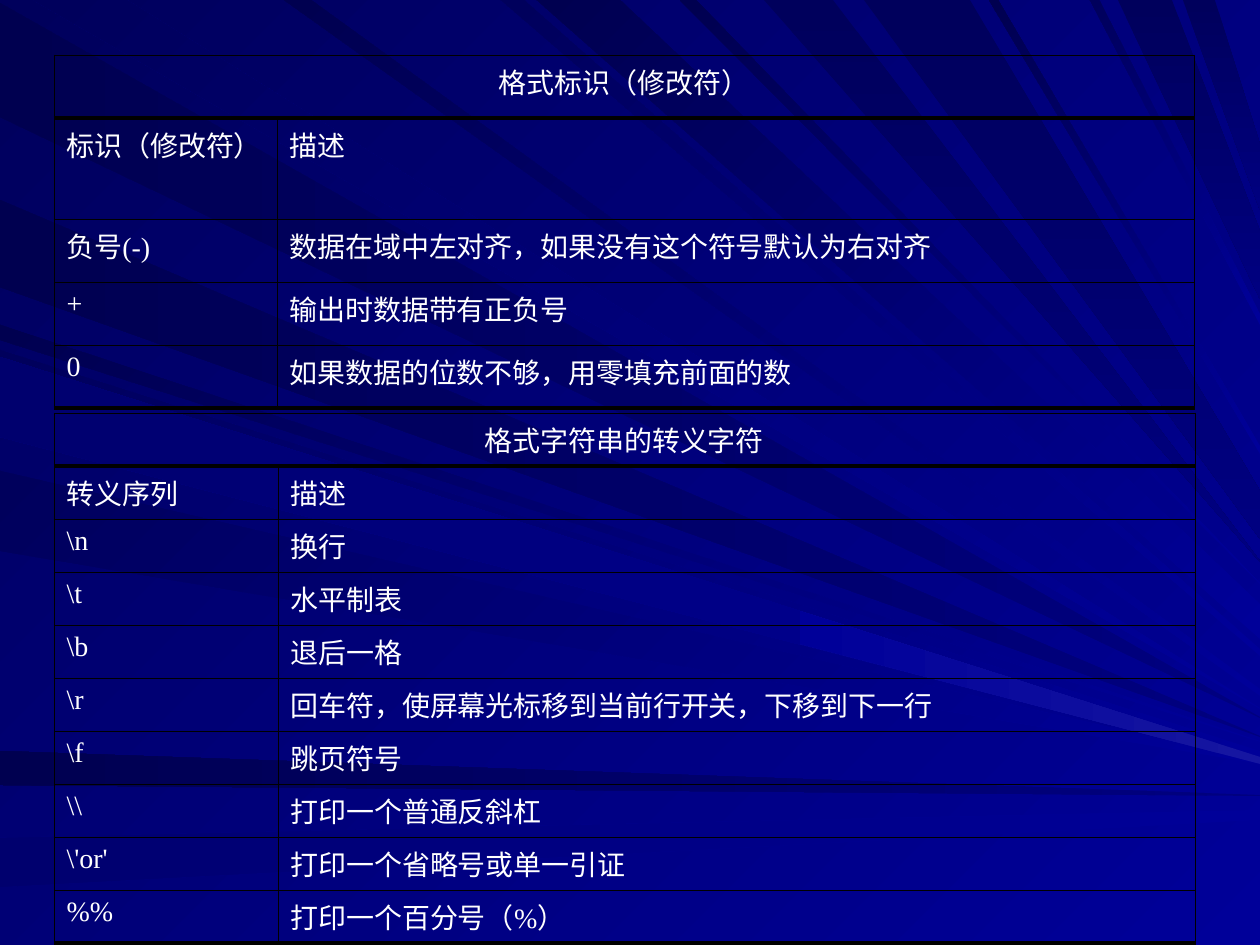
from lxml import etree
from pptx import Presentation
from pptx import util as u
from pptx.dml.color import RGBColor
from pptx.enum import text
from pptx.oxml.ns import qn

PX = 7257
WIDE, HIGH = 1260, 945
FONT = "Times New Roman"
COL = {
    "blue": "000099", "navy": "000080", "deep": "00006E", "dim": "00005C",
    "dark": "000050", "lit": "1616A1", "white": "FFFFFF", "black": "000000",
}
FADES = {
    "shade": ("navy", "dark", 180),
    "soft": ("blue", "deep", 180),
    "slant": ("blue", "dim", 225),
    "sharp": ("blue", "dark", 225),
    "drop": ("dim", "navy", 90),
    "glow": ("lit", "blue", 180),
}

RAYS = [
    ("shade", "left", 3, 117, 717, 718),
    ("slant", "top", 33, 127, 708, 709),
    ("shade", "left", 751, 785, 795, 796),
    ("soft", "left", 838, 887, 810, 820),
    ("sharp", "left", 325, 340, 741, 742),
    ("shade", "left", 200, 287, 736, 737),
    ("slant", "top", 501, 524, 649, 656),
    ("sharp", "top", 537, 620, 604, 639),
    ("sharp", "top", 680, 696, 583, 584),
    ("drop", "top", 764, 833, 561, 562),
    ("drop", "top", 1118, 1172, 231, 299),
    ("drop", "top", 1183, 1215, 144, 210),
    ("slant", "left", 350, 431, 751, 759),
    ("slant", "left", 471, 551, 762, 764),
    ("sharp", "top", 284, 311, 689, 696),
    ("drop", "top", 864, 970, 491, 539),
    ("sharp", "top", 989, 998, 446, 454),
    ("slant", "top", 1090, 1099, 314, 325),
    ("soft", "left", 357, 437, 757, 764),
    ("glow", "mid", 611, 644, 757, 764),
]

FLAGS = [
    ("格式标识（修改符）", ""),
    ("标识（修改符）", "描述"),
    ("负号(-)", "数据在域中左对齐，如果没有这个符号默认为右对齐"),
    ("+", "输出时数据带有正负号"),
    ("0", "如果数据的位数不够，用零填充前面的数"),
]
ESCAPES = [
    ("格式字符串的转义字符", ""),
    ("转义序列", "描述"),
    ("\\n", "换行"),
    ("\\t", "水平制表"),
    ("\\b", "退后一格"),
    ("\\r", "回车符，使屏幕光标移到当前行开关，下移到下一行"),
    ("\\f", "跳页符号"),
    ("\\\\", "打印一个普通反斜杠"),
    ("\\'or'", "打印一个省略号或单一引证"),
    ("%%", "打印一个百分号（%）"),
]
TABLES = [
    (FLAGS, 55, (223, 917), 63, 101),
    (ESCAPES, 413, (224, 917), 47, 47),
]
LEFT, HANG = 54, 48
THIN, MID, THICK = 0.34, 0.45, 2.5


def rgb(key):
    return RGBColor.from_string(COL[key])


def paint(fill, start, end, angle):
    fill.gradient()
    fill.gradient_angle = 360 - angle
    for stop, key in zip(fill.gradient_stops, (start, end)):
        stop.color.rgb = rgb(key)


def draw_ray(slide, fade, side, near, far, high, low):
    if side == "top":
        points = [(near, 0), (far, 0), (WIDE, high), (WIDE, low)]
    else:
        x = 800 if side == "mid" else 0
        points = [(x, far), (x, near), (WIDE, high), (WIDE, low)]
    build = slide.shapes.build_freeform(*points[0], scale=PX)
    build.add_line_segments(points[1:], close=True)
    ray = build.convert_to_shape()
    ray.shadow.inherit = False
    ray.line.fill.background()
    paint(ray.fill, *FADES[fade])


def edge(cell, side, width):
    props = cell._tc.get_or_add_tcPr()
    line = etree.SubElement(props, qn("a:ln" + side), w=str(u.Pt(width)))
    fill = etree.SubElement(line, qn("a:solidFill"))
    etree.SubElement(fill, qn("a:srgbClr"), val=COL["black"])


def fill_cell(cell, words, top, base):
    for side, width in (("L", THIN), ("R", THIN), ("T", top), ("B", base)):
        edge(cell, side, width)
    cell.fill.background()
    cell.text_frame.text = words
    para = cell.text_frame.paragraphs[0]
    props = para._p.get_or_add_pPr()
    props.set("marL", str(HANG * PX))
    props.set("indent", str(-HANG * PX))
    if cell.is_merge_origin:
        para.alignment = text.PP_ALIGN.CENTER
    for run in para.runs:
        run.font.size = u.Pt(16)
        run.font.name = FONT
        run.font.color.rgb = rgb("white")


def draw_table(slide, rows, top, cols, high, head):
    highs = [head if r == 1 else high for r in range(len(rows))]
    frame = slide.shapes.add_table(len(rows), len(cols), LEFT * PX, top * PX,
                                   sum(cols) * PX, sum(highs) * PX)
    table = frame.table
    table.first_row = table.horz_banding = False
    for col, wide in zip(table.columns, cols):
        col.width = wide * PX
    table.cell(0, 0).merge(table.cell(0, 1))
    rules = [THIN, THICK, MID] + [THIN] * (len(rows) - 3) + [THICK]
    for r, row in enumerate(rows):
        table.rows[r].height = highs[r] * PX
        for c, words in enumerate(row):
            fill_cell(table.cell(r, c), words, rules[r], rules[r + 1])


def main():
    deck = Presentation()
    deck.slide_width, deck.slide_height = u.Inches(10), u.Inches(7.5)
    slide = deck.slides.add_slide(deck.slide_layouts[6])
    paint(slide.background.fill, "blue", "dim", 225)
    for ray in RAYS:
        draw_ray(slide, *ray)
    for table in TABLES:
        draw_table(slide, *table)
    deck.save("out.pptx")


if __name__ == "__main__":
    main()
